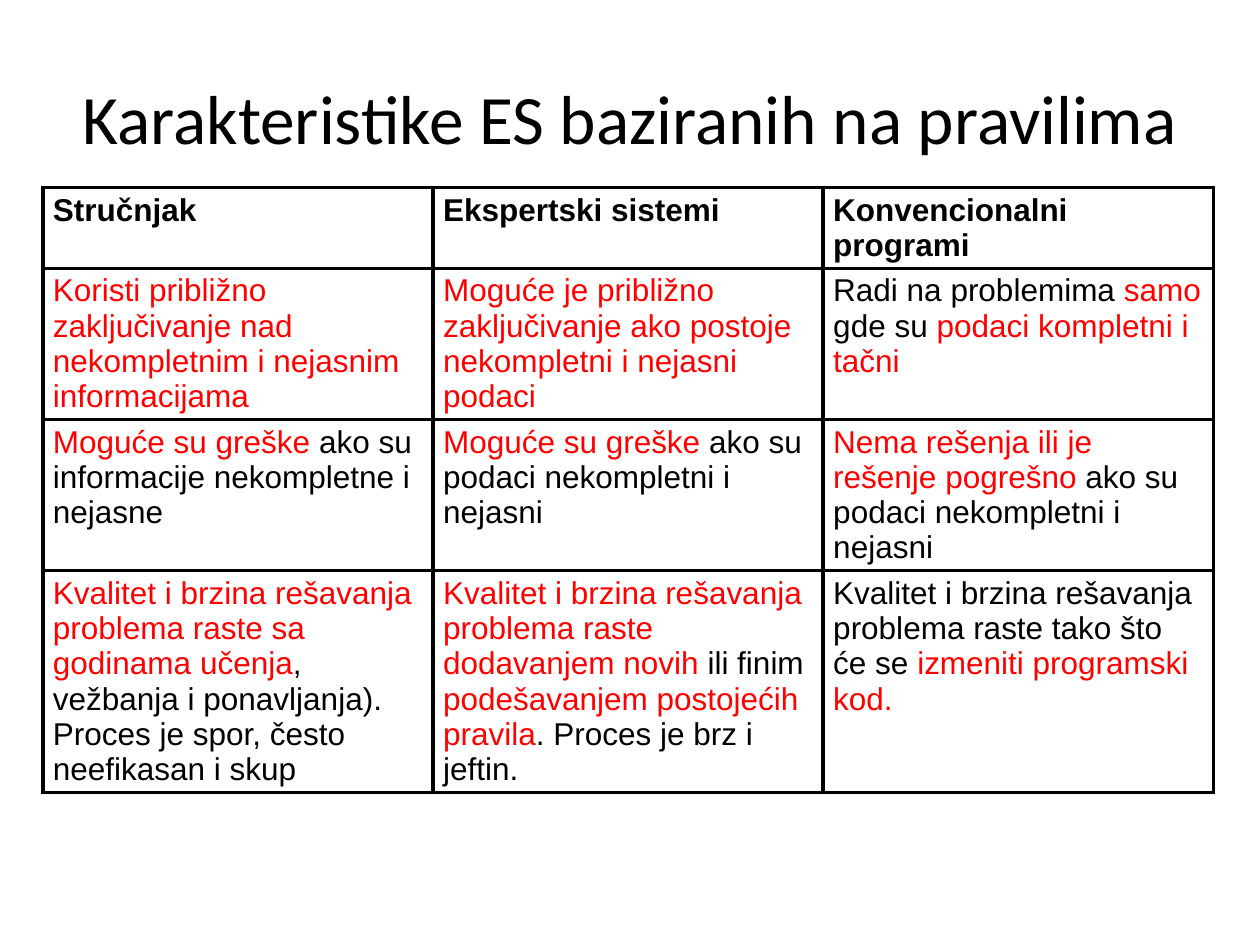
import pptx
import pptx.dml.color
import pptx.enum.text
import pptx.oxml
import pptx.oxml.ns
import pptx.util
from pptx.util import Inches

BLACK = pptx.dml.color.RGBColor(0x00, 0x00, 0x00)
RED = pptx.dml.color.RGBColor(0xFF, 0x00, 0x00)

TITLE = "Karakteristike ES baziranih na pravilima"
TITLE_FONT = {"name": "Calibri", "size": pptx.util.Pt(39.6), "bold": False}
BODY_FONT = {"name": "Arial", "size": pptx.util.Pt(18), "bold": False}
HEADER_FONT = {**BODY_FONT, "bold": True}
CELL_FORMAT = {
    "margin_left": Inches(0.08),
    "margin_right": Inches(0.08),
    "margin_top": Inches(0.04),
    "margin_bottom": Inches(0.04),
    "vertical_anchor": pptx.enum.text.MSO_ANCHOR.TOP,
}
ROW_HEIGHTS = [0.64, 1.2, 1.2, 1.76]
ROWS = [
    [
        [("Stručnjak", BLACK)],
        [("Ekspertski sistemi", BLACK)],
        [("Konvencionalni programi", BLACK)],
    ],
    [
        [("Koristi približno zaključivanje nad nekompletnim i nejasnim informacijama", RED)],
        [("Moguće je približno zaključivanje ako postoje nekompletni i nejasni podaci", RED)],
        [("Radi na problemima ", BLACK), ("samo", RED), (" gde su ", BLACK),
         ("podaci kompletni i tačni", RED)],
    ],
    [
        [("Moguće su greške ", RED), ("ako su informacije nekompletne i nejasne", BLACK)],
        [("Moguće su greške", RED), (" ako su podaci nekompletni i nejasni", BLACK)],
        [("Nema rešenja ili je rešenje pogrešno ", RED),
         ("ako su podaci nekompletni i nejasni", BLACK)],
    ],
    [
        [("Kvalitet i brzina rešavanja problema raste sa godinama učenja", RED),
         (", vežbanja i ponavljanja). Proces je spor, često neefikasan i skup", BLACK)],
        [("Kvalitet i brzina rešavanja problema raste dodavanjem novih ", RED),
         ("ili finim ", BLACK), ("podešavanjem postojećih pravila", RED),
         (". Proces je brz i jeftin.", BLACK)],
        [("Kvalitet i brzina rešavanja problema raste tako što će se ", BLACK),
         ("izmeniti programski kod.", RED)],
    ],
]


def apply_format(obj, values):
    """Set every attribute named in values on obj."""
    for name, value in values.items():
        setattr(obj, name, value)


def add_run(p, text, color, font):
    """Append one formatted run to a paragraph."""
    r = p.add_run()
    r.text = text
    apply_format(r.font, font)
    r.font.color.rgb = color


def add_borders(cell, color, width):
    """Draw a solid line on all four sides of a cell."""
    tc_pr = cell._tc.get_or_add_tcPr()
    for i, side in enumerate(("lnL", "lnR", "lnT", "lnB")):
        tc_pr.insert(i, pptx.oxml.parse_xml(
            f'<a:{side} {pptx.oxml.ns.nsdecls("a")} w="{int(width)}">'
            f'<a:solidFill><a:srgbClr val="{color}"/></a:solidFill></a:{side}>'))


def place_title(s, left, top, width, height):
    """Fill the title placeholder inside the given box."""
    sp = s.shapes.title
    apply_format(sp, {"left": left, "top": top, "width": width, "height": height})
    tf = sp.text_frame
    apply_format(tf, {
        "word_wrap": True,
        "auto_size": pptx.enum.text.MSO_AUTO_SIZE.NONE,
        "vertical_anchor": pptx.enum.text.MSO_ANCHOR.MIDDLE,
    })
    p = tf.paragraphs[0]
    p.alignment = pptx.enum.text.PP_ALIGN.CENTER
    add_run(p, TITLE, BLACK, TITLE_FONT)


def add_comparison_table(s, left, top, width, height):
    """Add the comparison table with equal columns inside the given box."""
    table = s.shapes.add_table(len(ROWS), len(ROWS[0]), left, top, width, height).table
    table.horz_banding = False
    for row, row_height, contents in zip(table.rows, ROW_HEIGHTS, ROWS):
        row.height = Inches(row_height)
        font = HEADER_FONT if contents is ROWS[0] else BODY_FONT
        for cell, runs in zip(row.cells, contents):
            apply_format(cell, CELL_FORMAT)
            cell.fill.background()
            add_borders(cell, BLACK, pptx.util.Pt(2.25))
            for text, color in runs:
                add_run(cell.text_frame.paragraphs[0], text, color, font)


def main():
    """Build the slide and save the presentation."""
    prs = pptx.Presentation()
    apply_format(prs, {"slide_width": Inches(10), "slide_height": Inches(7.5)})
    s = prs.slides.add_slide(prs.slide_layouts[5])
    place_title(s, Inches(0.5), Inches(0.3), Inches(9), Inches(1.25))
    add_comparison_table(s, Inches(0.34), Inches(1.49), Inches(9.29), Inches(sum(ROW_HEIGHTS)))
    prs.save("out.pptx")


if __name__ == "__main__":
    main()
